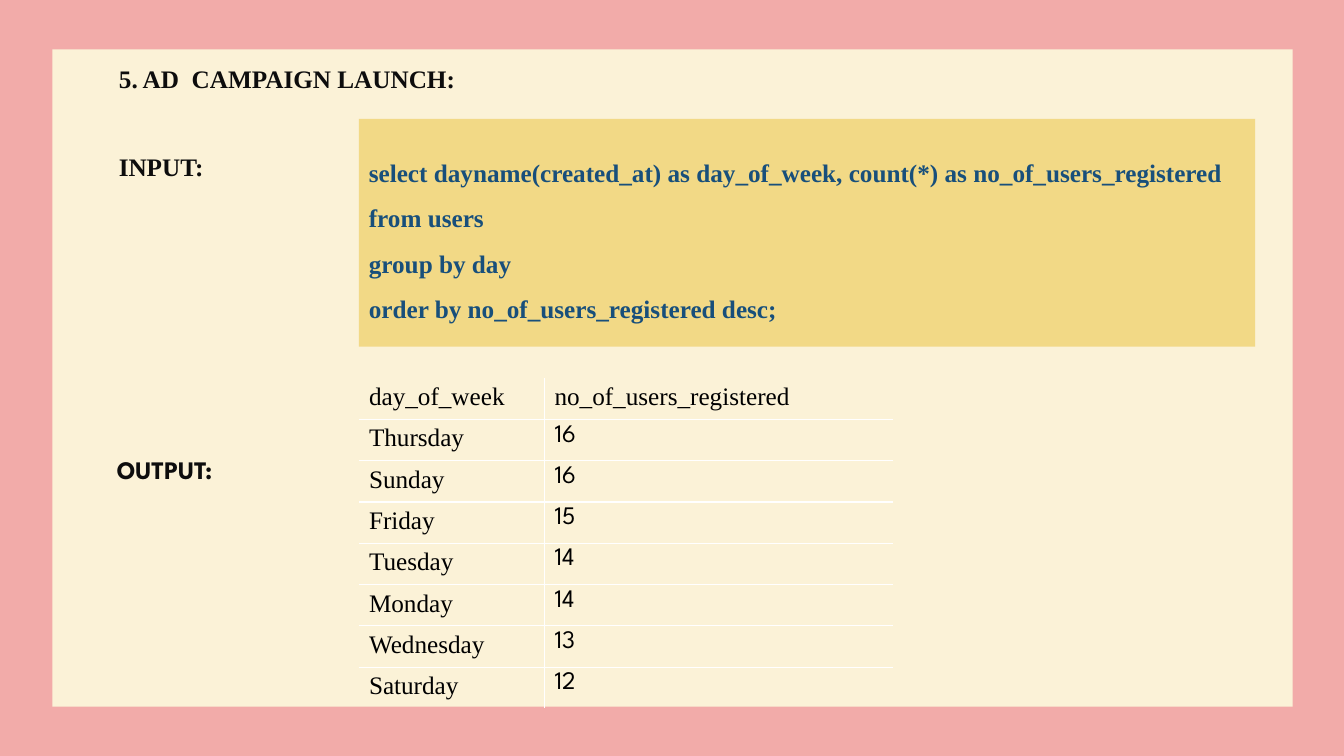
from lxml.etree import SubElement
from pptx import Presentation
from pptx.dml.color import RGBColor
from pptx.enum.shapes import MSO_SHAPE
from pptx.enum.text import MSO_ANCHOR, MSO_AUTO_SIZE, PP_ALIGN
from pptx.oxml.ns import qn
from pptx.util import Inches, Pt

QUERY = [
    "select dayname(created_at) as day_of_week, count(*) as no_of_users_registered",
    "from users",
    "group by day",
    "order by no_of_users_registered desc;",
]
REGISTRATIONS = [
    ("day_of_week", "no_of_users_registered"),
    ("Thursday", "16"),
    ("Sunday", "16"),
    ("Friday", "15"),
    ("Tuesday", "14"),
    ("Monday", "14"),
    ("Wednesday", "13"),
    ("Saturday", "12"),
]


def color(hex_code):
    return RGBColor.from_string(hex_code)


class CampaignSlide:
    SERIF = "Times New Roman"
    SANS = "League Spartan"
    SIZE = Pt(18)
    INK = "0D0D0D"
    RULE = "FFFFFF"

    def __init__(self, deck, background):
        self.slide = deck.slides.add_slide(deck.slide_layouts[5])
        self.shapes = self.slide.shapes
        fill = self.slide.background.fill
        fill.solid()
        fill.fore_color.rgb = color(background)

    def set_text(self, frame, lines, font=SERIF, ink=INK, bold=True, spacing=None):
        frame.text = "\n".join(lines)
        for paragraph in frame.paragraphs:
            paragraph.alignment = PP_ALIGN.LEFT
            paragraph.line_spacing = spacing
            paragraph.font.name = font
            paragraph.font.size = self.SIZE
            paragraph.font.bold = bold
            paragraph.font.color.rgb = color(ink)

    def title(self, text, left, top, width, height):
        heading = self.shapes.title
        heading.left, heading.top = Inches(left), Inches(top)
        heading.width, heading.height = Inches(width), Inches(height)
        frame = heading.text_frame
        frame.auto_size = MSO_AUTO_SIZE.NONE
        frame.vertical_anchor = MSO_ANCHOR.TOP
        self.set_text(frame, [text], spacing=1.0)

    def block(self, left, top, width, height, fill):
        block = self.shapes.add_shape(
            MSO_SHAPE.RECTANGLE, Inches(left), Inches(top), Inches(width), Inches(height))
        block.shadow.inherit = False
        block.fill.solid()
        block.fill.fore_color.rgb = color(fill)
        block.line.fill.background()
        return block

    def panel(self, left, top, width, height, fill):
        panel = self.block(left, top, width, height, fill)
        self.shapes.element.insert(2, panel.element)

    def code(self, lines, left, top, width, height, fill, ink):
        frame = self.block(left, top, width, height, fill).text_frame
        frame.word_wrap = True
        frame.vertical_anchor = MSO_ANCHOR.MIDDLE
        frame.margin_top = frame.margin_bottom = 0
        self.set_text(frame, lines, ink=ink, spacing=1.5)

    def label(self, text, left, top, width, height, font=SERIF):
        label = self.shapes.add_textbox(
            Inches(left), Inches(top), Inches(width), Inches(height))
        label.text_frame.word_wrap = True
        self.set_text(label.text_frame, [text], font)

    def borders(self, cell, inner_sides):
        properties = cell._tc.get_or_add_tcPr()
        for side in "LRTB":
            line = SubElement(properties, qn(f"a:ln{side}"), w=str(Pt(1)))
            if side in inner_sides:
                solid = SubElement(line, qn("a:solidFill"))
                SubElement(solid, qn("a:srgbClr"), val=self.RULE)
            else:
                SubElement(line, qn("a:noFill"))

    def table(self, rows, left, top, widths, row_height):
        table = self.shapes.add_table(
            len(rows), len(widths), Inches(left), Inches(top),
            Inches(sum(widths)), Inches(row_height * len(rows))).table
        table.first_row = table.horz_banding = False
        for column, width in zip(table.columns, widths):
            column.width = Inches(width)
        for r, values in enumerate(rows):
            for c, value in enumerate(values):
                cell = table.cell(r, c)
                sides = "R" if c == 0 else "L"
                sides += "T" if r > 0 else ""
                sides += "B" if r < len(rows) - 1 else ""
                self.borders(cell, sides)
                cell.fill.background()
                font = self.SANS if r and c else self.SERIF
                self.set_text(cell.text_frame, [value], font, "000000", False)


def main():
    deck = Presentation()
    deck.slide_width, deck.slide_height = Inches(13.33), Inches(7.5)
    page = CampaignSlide(deck, "F2ABA9")
    page.panel(0.52, 0.49, 12.3, 6.52, "FBF2D7")
    page.title("5. AD  CAMPAIGN LAUNCH:", 1.08, 0.58, 3.73, 0.4)
    page.code(QUERY, 3.56, 1.18, 8.89, 2.26, "F2D986", "184F7B")
    page.table(REGISTRATIONS, 3.56, 3.75, (1.84, 3.46), 0.41)
    page.label("INPUT:", 1.08, 1.45, 1.63, 0.4)
    page.label("OUTPUT:", 1.06, 4.46, 1.29, 0.4, page.SANS)
    deck.save("out.pptx")


if __name__ == "__main__":
    main()
